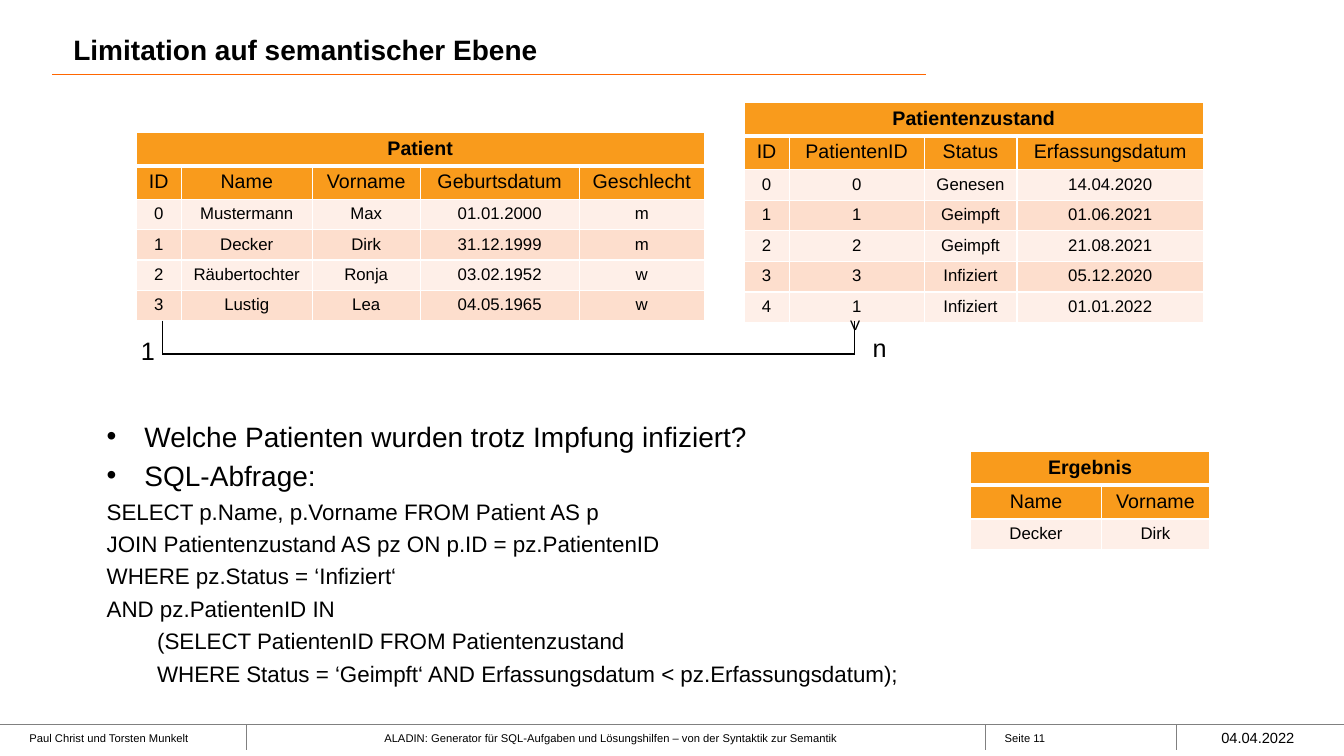
"""Build the slide on semantic limits of generated SQL exercises."""
from dataclasses import dataclass

from lxml import etree
from pptx import Presentation
from pptx import util as u
from pptx.dml.color import RGBColor
from pptx.enum import shapes, text
from pptx.oxml import ns


@dataclass(frozen=True)
class Theme:
    font: str = "Arial"
    ink: str = "000000"
    rule: str = "808080"
    accent: str = "FF6600"
    header: str = "F99B1C"
    bands: tuple = ("FEEFE8", "FDDECD")
    border: str = "FFFFFF"
    title_size: float = 20
    query_size: float = 16
    label_size: float = 18
    header_size: float = 14
    cell_size: float = 12
    date_size: float = 10.5
    footer_size: float = 8


theme = Theme()
deck = Presentation()
deck.slide_width, deck.slide_height = u.Cm(33.87), u.Cm(19.05)
slide = deck.slides.add_slide(deck.slide_layouts[6])
CENTER = text.PP_ALIGN.CENTER
MIDDLE = text.MSO_ANCHOR.MIDDLE


def add_text(box, lines, size, bold=False, align=None, anchor=None, insets=None):
    """Place lines of text in a new box and return the box."""
    area = slide.shapes.add_textbox(*map(u.Cm, box))
    frame = area.text_frame
    frame.word_wrap = True
    frame.vertical_anchor = anchor
    if insets:
        (frame.margin_left, frame.margin_top,
         frame.margin_right, frame.margin_bottom) = map(u.Cm, insets)
    frame.text = lines
    for paragraph in frame.paragraphs:
        paragraph.alignment = align
        for run in paragraph.runs:
            run.font.name, run.font.size, run.font.bold = theme.font, u.Pt(size), bold
            run.font.color.rgb = RGBColor.from_string(theme.ink)
    return area


def add_line(x1, y1, x2, y2, color):
    """Draw a thin straight line without shadow."""
    line = slide.shapes.add_connector(
        shapes.MSO_CONNECTOR.STRAIGHT, *map(u.Cm, (x1, y1, x2, y2)))
    line.line.color.rgb = RGBColor.from_string(color)
    line.line.width = u.Pt(0.75)
    etree.SubElement(line._element.spPr, ns.qn("a:effectLst"))


footer_top, footer_height = 18.29, 0.61
footer_labels = [
    (0.74, 4.6, "Paul Christ und Torsten Munkelt", None),
    (6.65, 17.75, "ALADIN: Generator für SQL-Aufgaben und Lösungshilfen"
                  " – von der Syntaktik zur Semantik", CENTER),
    (25.32, 3.73, "Seite 11", None),
]
for left, width, label, align in footer_labels:
    add_text((left, footer_top, width, footer_height), label, theme.footer_size,
             align=align, insets=(0, 0.13, 0.25, 0.13))
add_text((30.53, footer_top, 3, footer_height), "04.04.2022", theme.date_size, anchor=MIDDLE)
add_line(0, 18.26, 33.87, 18.26, theme.rule)
for divider in (6.21, 24.84, 29.64):
    add_line(divider, 18.26, divider, 18.9, theme.rule)

add_line(1.32, 1.88, 23.34, 1.88, theme.accent)
add_text((1.6, 0.51, 21.87, 1.47), "Limitation auf semantischer Ebene",
         theme.title_size, bold=True, anchor=MIDDLE)

relations = [
    ("Patientenzustand", 18.75, 2.58, (1.14, 3.4, 2.34, 4.7), 0.84, 0.77, [
        ("ID", "PatientenID", "Status", "Erfassungsdatum"),
        ("0", "0", "Genesen", "14.04.2020"),
        ("1", "1", "Geimpft", "01.06.2021"),
        ("2", "2", "Geimpft", "21.08.2021"),
        ("3", "3", "Infiziert", "05.12.2020"),
        ("4", "1", "Infiziert", "01.01.2022")]),
    ("Patient", 3.43, 3.33, (1.14, 3.3, 2.72, 4.01, 3.15), 0.82, 0.73, [
        ("ID", "Name", "Vorname", "Geburtsdatum", "Geschlecht"),
        ("0", "Mustermann", "Max", "01.01.2000", "m"),
        ("1", "Decker", "Dirk", "31.12.1999", "m"),
        ("2", "Räubertochter", "Ronja", "03.02.1952", "w"),
        ("3", "Lustig", "Lea", "04.05.1965", "w")]),
    ("Ergebnis", 24.46, 11.38, (3.3, 2.72), 0.84, 0.78, [
        ("Name", "Vorname"),
        ("Decker", "Dirk")]),
]
for relation, left, top, widths, header_height, row_height, records in relations:
    rows = [(relation,) + ("",) * (len(widths) - 1)] + records
    heights = [header_height] * 2 + [row_height] * (len(rows) - 2)
    grid = slide.shapes.add_table(
        len(rows), len(widths),
        *map(u.Cm, (left, top, sum(widths), sum(heights)))).table
    for column, width in zip(grid.columns, widths):
        column.width = u.Cm(width)
    for r, (row, height) in enumerate(zip(rows, heights)):
        grid.rows[r].height = u.Cm(height)
        for c, value in enumerate(row):
            cell = grid.cell(r, c)
            borders = {"L": 1, "R": 1, "T": 3 if r == 1 else 1, "B": 3 if r == 0 else 1}
            for side, points in borders.items():
                edge = etree.SubElement(cell._tc.get_or_add_tcPr(), ns.qn(f"a:ln{side}"),
                                        w=str(u.Pt(points)))
                paint = etree.SubElement(edge, ns.qn("a:solidFill"))
                etree.SubElement(paint, ns.qn("a:srgbClr"), val=theme.border)
            cell.fill.solid()
            cell.fill.fore_color.rgb = RGBColor.from_string(
                theme.header if r < 2 else theme.bands[r % 2])
            cell.text_frame.text = value
            entry = cell.text_frame.paragraphs[0]
            entry.alignment = CENTER
            entry.font.name = theme.font
            entry.font.size = u.Pt(theme.header_size if r < 2 else theme.cell_size)
            entry.font.bold = r == 0
            entry.font.color.rgb = RGBColor.from_string(theme.ink)
    grid.cell(0, 0).merge(grid.cell(0, len(widths) - 1))

question = """Welche Patienten wurden trotz Impfung infiziert?
SQL-Abfrage:
SELECT p.Name, p.Vorname FROM Patient AS p
JOIN Patientenzustand AS pz ON p.ID = pz.PatientenID
WHERE pz.Status = ‘Infiziert‘
AND pz.PatientenID IN
\t(SELECT PatientenID FROM Patientenzustand
\tWHERE Status = ‘Geimpft‘ AND Erfassungsdatum < pz.Erfassungsdatum);"""
query = add_text((2.44, 10.44, 24.89, 6.81), question, theme.query_size)
for i, paragraph in enumerate(query.text_frame.paragraphs):
    if i:
        paragraph.space_before = u.Pt(4)
    if i < 2:
        properties = paragraph._p.get_or_add_pPr()
        properties.set("marL", str(u.Cm(0.95)))
        properties.set("indent", str(u.Cm(-0.95)))
        etree.SubElement(properties, ns.qn("a:buFont"), typeface=theme.font)
        etree.SubElement(properties, ns.qn("a:buChar"), char="•")
        paragraph.runs[0].font.size = u.Pt(theme.title_size)

key_x, foreign_x, table_end, link_y = 4.09, 21.54, 8.08, 8.92
add_line(key_x, table_end, key_x, link_y, theme.ink)
add_line(key_x, link_y, foreign_x, link_y, theme.ink)
add_line(foreign_x, table_end, foreign_x, link_y, theme.ink)
add_text((3.3, 8.33, 0.79, 1.02), "1", theme.label_size)
add_text((21.74, 8.26, 0.79, 1.02), "n", theme.label_size)
crow_foot = add_text((21.13, 7.77, 0.79, 0.86), "<", theme.header_size)
crow_foot.rotation = 270

deck.save("out.pptx")
